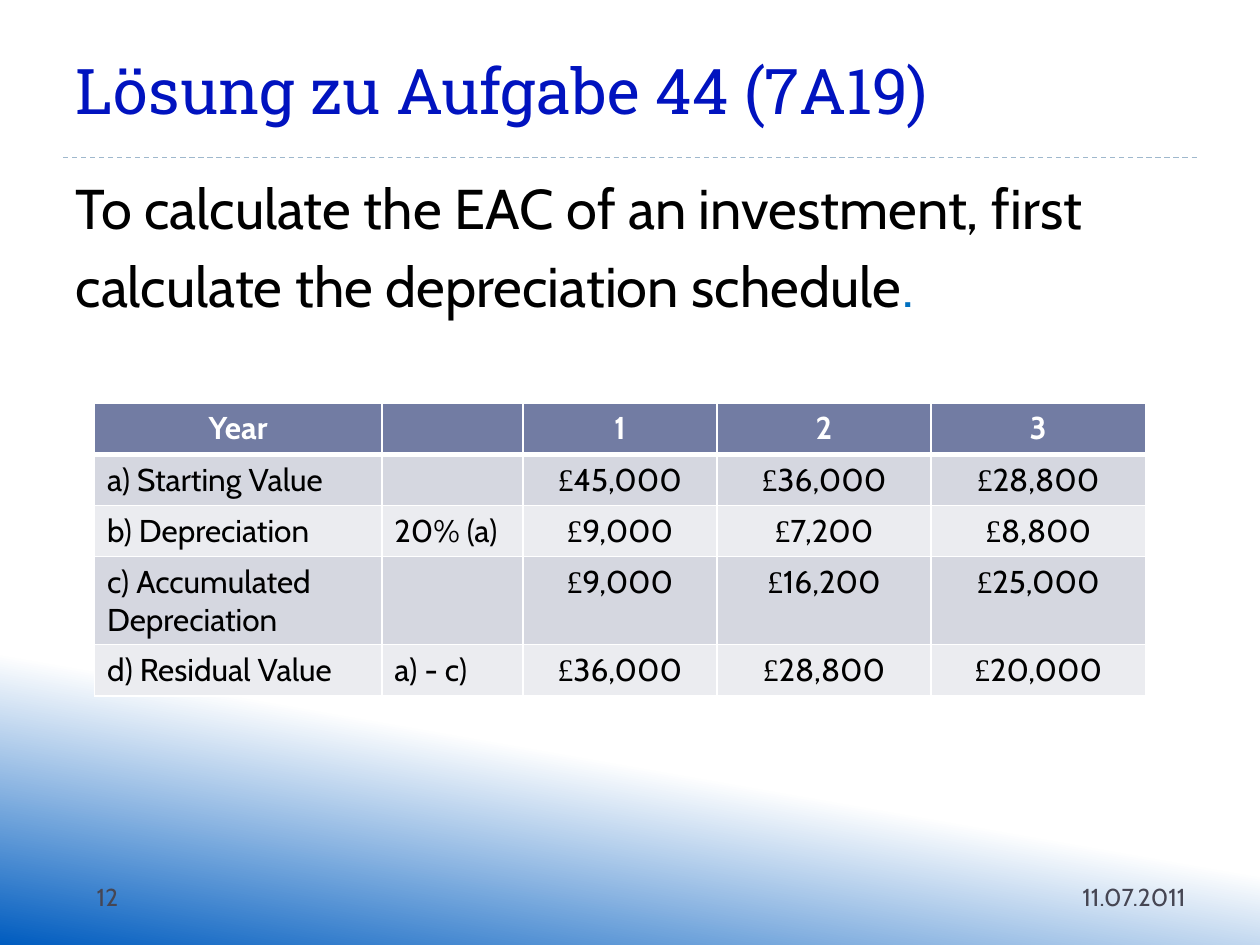
from lxml.etree import SubElement
from pptx import Presentation
from pptx.dml.color import RGBColor
from pptx.enum.dml import MSO_LINE
from pptx.enum.shapes import MSO_CONNECTOR
from pptx.enum.text import MSO_ANCHOR as Anchor, MSO_AUTO_SIZE as AutoSize, PP_ALIGN as Align
from pptx.oxml.ns import qn
from pptx.util import Pt

BODY_FONT, HEADING_FONT, POUND_FONT = "Cabin", "Roboto Slab", "Times New Roman"
WHITE, BLACK, GREY = "FFFFFF", "000000", "464653"
HEADER_FILL, BAND_FILLS = "727CA3", ("D5D7E0", "EBECF0")

COLUMN_WIDTHS = (164.2, 80.6, 110.9, 122.4, 122.4)
ROW_HEIGHT = 29.2
SCHEDULE = (
    ("Year", "", "1", "2", "3"),
    ("a) Starting Value", "", "£45,000", "£36,000", "£28,800"),
    ("b) Depreciation", "20% (a)", "£9,000", "£7,200", "£8,800"),
    ("c) Accumulated Depreciation", "", "£9,000", "£16,200", "£25,000"),
    ("d) Residual Value", "a) - c)", "£36,000", "£28,800", "£20,000"),
)


def colour(value):
    return RGBColor.from_string(value)


def place(shape, left, top, width, height):
    box = {"left": left, "top": top, "width": width, "height": height}
    for side, length in box.items():
        setattr(shape, side, Pt(length))


def add_run(paragraph, text, size, ink, name=BODY_FONT, bold=False):
    run = paragraph.add_run()
    run.text = text
    for key, value in {"size": Pt(size), "name": name, "bold": bold}.items():
        setattr(run.font, key, value)
    run.font.color.rgb = colour(ink)


def paint_background(slide):
    fill = slide.background.fill
    fill.gradient()
    fill.gradient_angle = 260
    for stop, (position, tint) in zip(fill.gradient_stops, ((0.75, WHITE), (1, "005CBF"))):
        stop.position = position
        stop.color.rgb = colour(tint)


def add_divider(slide):
    divider = slide.shapes.add_connector(
        MSO_CONNECTOR.STRAIGHT, Pt(36), Pt(90), Pt(684), Pt(90))
    divider.line.color.rgb = colour("9FB8CD")
    divider.line.width = Pt(0.75)
    divider.line.dash_style = MSO_LINE.DASH
    SubElement(divider._element.spPr, qn("a:effectLst"))


def fill_title(title, text):
    place(title, 36, 12.2, 539.3, 77.8)
    frame = title.text_frame
    frame.vertical_anchor = Anchor.MIDDLE
    frame.auto_size = AutoSize.NONE
    heading = frame.paragraphs[0]
    heading.alignment = Align.LEFT
    add_run(heading, text, 36, "0113BF", HEADING_FONT)


def fill_body(body, lines):
    """Write each line, a list of (text, ink) pairs, as an unbulleted paragraph."""
    place(body, 36, 95.8, 648, 388.8)
    frame = body.text_frame
    frame.auto_size = AutoSize.NONE
    for index, line in enumerate(lines):
        paragraph = frame.add_paragraph() if index else frame.paragraphs[0]
        paragraph.space_before = Pt(6)
        properties = paragraph._p.get_or_add_pPr()
        properties.set("marL", str(Pt(21.6)))
        properties.set("indent", str(-Pt(21.6)))
        SubElement(properties, qn("a:buNone"))
        for text, ink in line:
            add_run(paragraph, text, 32, ink)


def add_footer(slide, text, left, width, alignment):
    footer = slide.shapes.add_textbox(Pt(left), Pt(500.4), Pt(width), Pt(28.8))
    footer.text_frame.word_wrap = True
    paragraph = footer.text_frame.paragraphs[0]
    paragraph.alignment = alignment
    add_run(paragraph, text, 14, GREY)


def border_cell(cell, bottom_width):
    properties = cell._tc.get_or_add_tcPr()
    widths = {"a:lnL": 1, "a:lnR": 1, "a:lnT": 1, "a:lnB": bottom_width}
    for position, (edge, width) in enumerate(widths.items()):
        line = SubElement(properties, qn(edge), w=str(Pt(width)))
        SubElement(SubElement(line, qn("a:solidFill")), qn("a:srgbClr"), val=WHITE)
        properties.insert(position, line)


def fill_cell(cell, text, is_header, is_centred, background):
    cell.fill.solid()
    cell.fill.fore_color.rgb = colour(background)
    border_cell(cell, 3 if is_header else 1)
    paragraph = cell.text_frame.paragraphs[0]
    paragraph.alignment = Align.CENTER if is_centred else Align.LEFT
    if text.startswith("£"):
        add_run(paragraph, "£", 18, BLACK, POUND_FONT)
        text = text[1:]
    if text:
        add_run(paragraph, text, 18, WHITE if is_header else BLACK, bold=is_header)


def add_schedule(slide):
    table = slide.shapes.add_table(
        len(SCHEDULE), len(COLUMN_WIDTHS), Pt(54), Pt(230.4),
        Pt(sum(COLUMN_WIDTHS)), Pt(ROW_HEIGHT * len(SCHEDULE))).table
    for column, width in zip(table.columns, COLUMN_WIDTHS):
        column.width = Pt(width)
    for r, entries in enumerate(SCHEDULE):
        table.rows[r].height = Pt(ROW_HEIGHT)
        background = BAND_FILLS[(r - 1) % 2] if r else HEADER_FILL
        for c, text in enumerate(entries):
            fill_cell(table.cell(r, c), text, r == 0, r == 0 or c > 1, background)


def main():
    deck = Presentation()
    deck.slide_width, deck.slide_height = Pt(720), Pt(540)
    slide = deck.slides.add_slide(deck.slide_layouts[1])
    paint_background(slide)
    add_divider(slide)
    fill_title(slide.shapes.title, "Lösung zu Aufgabe 44 (7A19)")
    fill_body(slide.placeholders[1], (
        [("To calculate the EAC of an investment, first", BLACK)],
        [("calculate the depreciation schedule", BLACK), (".", "0070C0")],
    ))
    add_footer(slide, "11.07.2011", 598.3, 86.4, Align.RIGHT)
    add_footer(slide, "12", 48.2, 56.9, Align.LEFT)
    add_schedule(slide)
    deck.save("out.pptx")


if __name__ == "__main__":
    main()
